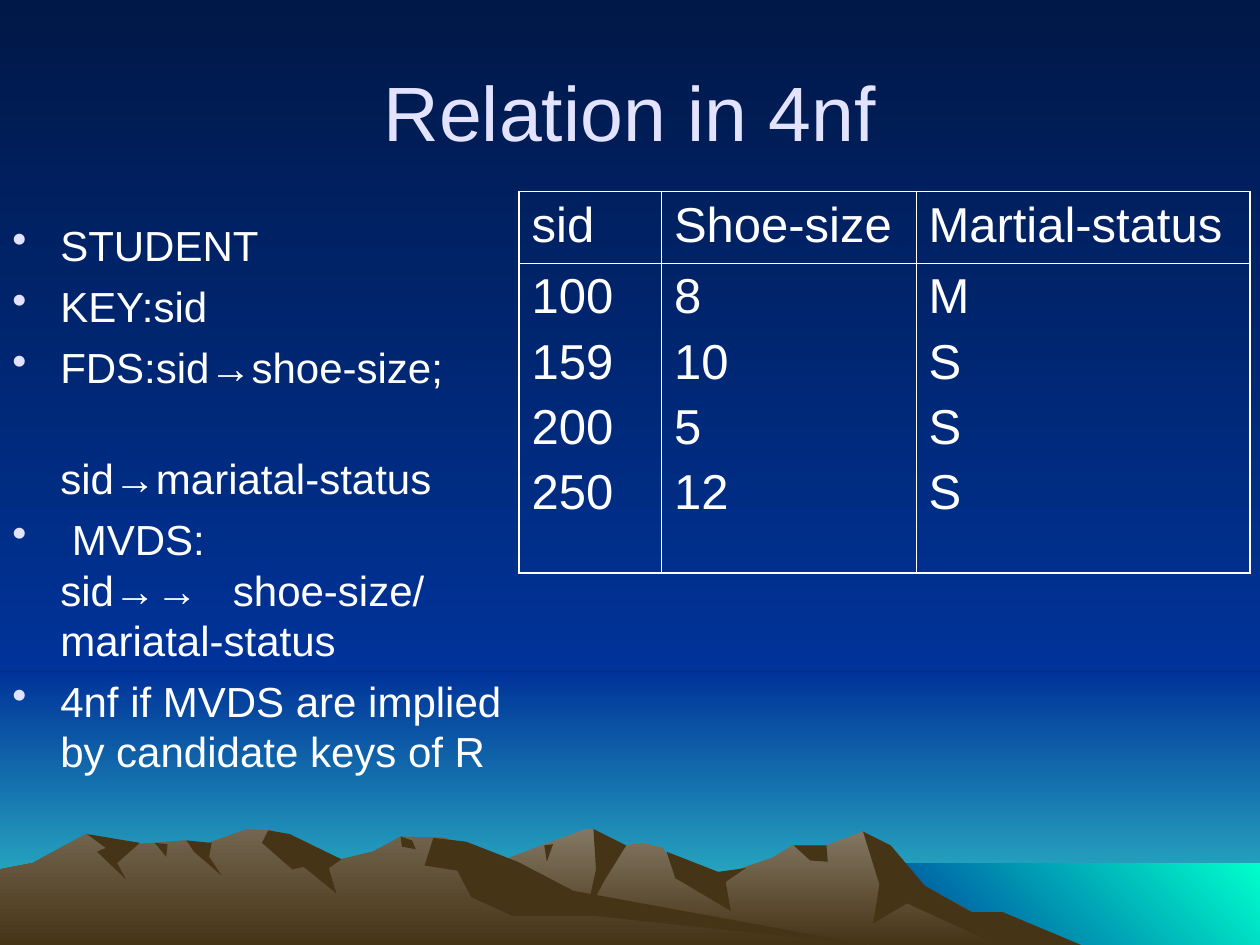
from lxml.etree import SubElement
from pptx import Presentation
from pptx.dml.color import RGBColor
from pptx.enum.shapes import MSO_SHAPE
from pptx.enum.text import MSO_ANCHOR, PP_ALIGN
from pptx.oxml import parse_xml
from pptx.oxml.ns import nsdecls, qn
from pptx.util import Inches, Pt

# Content
TITLE = "Relation in 4nf"
NOTES = [  # text, bulleted, space before in points
    ("STUDENT", True, 0),
    ("KEY:sid", True, 6),
    ("FDS:sid→shoe-size;", True, 6),
    ("sid→mariatal-status", False, 35),
    (" MVDS:\vsid→→\tshoe-size/ mariatal-status", True, 6),
    ("4nf if MVDS are implied by candidate keys of R", True, 6),
]
STUDENTS = {
    "sid": ["100", "159", "200", "250"],
    "Shoe-size": ["8", "10", "5", "12"],
    "Martial-status": ["M", "S", "S", "S"],
}
COLUMN_WIDTHS, ROW_HEIGHTS = (1.13, 2.02, 2.65), (0.57, 2.46)

COLORS = {
    "night": "001847", "blue": "003399", "haze": "33CCCC", "sea": "00FFCC",
    "rock": "847864", "slope": "73654F", "shade": "463416",
    "lilac": "E3E3FF", "white": "FFFFFF",
}
FONT = "Arial"
WIDTH, HEIGHT, HORIZON = 10, 7.5, 5.33

# Scenery bands: left, top, width, height, first colour, last colour, angle
BANDS = [
    (0, HORIZON, WIDTH, HEIGHT - HORIZON, "blue", "haze", 270),
    (0, 0, WIDTH, HORIZON, "night", "blue", 270),
    (6.83, 6.85, 3.17, 0.67, "blue", "sea", 45),
]

# Mountains, back to front: top colour (None for plain shade) and outline
MOUNTAINS = [
    ("rock", [
        (2.58, HEIGHT), (3.27, 7.09), (3.94, 6.85), (4.3, 6.71), (4.65, 6.58),
        (4.71, 6.58), (4.86, 6.73), (5.09, 6.69), (5.26, 6.73), (5.36, 6.9),
        (5.66, 6.97), (6.13, 6.81), (6.29, 6.71), (6.56, 6.71), (6.85, 6.6),
        (7.23, 6.98), (8.2, HEIGHT)]),
    (None, [
        (6.85, 6.6), (7.07, 6.71), (7.34, 7.03), (7.71, 7.24), (7.96, 7.24),
        (8.58, HEIGHT), (7.92, HEIGHT), (7.2, 7.17), (6.93, 7.33), (6.98, 7.02)]),
    (None, [
        (4.71, 6.58), (4.97, 6.71), (4.79, 7), (4.65, 7.27), (4.73, 6.9)]),
    (None, [
        (5.29, 6.76), (5.7, 6.92), (5.92, 6.89), (5.76, 7), (5.8, 7.23), (5.36, 6.97)]),
    (None, [(6.3, 6.71), (6.56, 6.71), (6.57, 6.84), (6.43, 6.83)]),
    (None, [(4.32, 6.71), (4.39, 6.7), (4.34, 6.84)]),
    ("slope", [
        (0, HEIGHT), (0, 6.9), (0.26, 6.85), (0.68, 6.62), (0.94, 6.71),
        (1.23, 6.69), (1.48, 6.67), (1.6, 6.71), (1.96, 6.58), (2.15, 6.59),
        (2.71, 6.82), (2.96, 6.76), (3.18, 6.64), (3.54, 6.65), (4.32, 7.12),
        (6.9, HEIGHT)]),
    (None, [
        (2.13, 6.59), (2.3, 6.62), (2.71, 6.82), (2.61, 6.89), (2.67, 7.09),
        (2.41, 6.88), (2.32, 6.9), (2.08, 6.69)]),
    (None, [
        (3.44, 6.65), (3.7, 6.68), (4.11, 6.84), (4.55, 7.07), (6.9, HEIGHT),
        (4.72, 7.27), (4.07, 7.27), (3.74, 7.12), (3.63, 6.91), (3.37, 6.87)]),
    (None, [(3.18, 6.64), (3.27, 6.67), (3.3, 6.74), (3.19, 6.72)]),
    (None, [(1.48, 6.67), (1.68, 6.69), (1.66, 6.8), (1.76, 6.95), (1.54, 6.76)]),
    (None, [(1.23, 6.69), (1.33, 6.7), (1.32, 6.8)]),
    (None, [
        (0.69, 6.62), (1.11, 6.69), (0.93, 6.85), (1, 6.98), (0.77, 6.76), (0.84, 6.73)]),
]


def rgb(color):
    return RGBColor.from_string(COLORS[color])


def set_gradient(fill, first, last, angle=270):
    fill.gradient()
    fill.gradient_angle = angle
    for stop, color in zip(fill.gradient_stops, (first, last)):
        stop.color.rgb = rgb(color)


def set_font(paragraph, size, color):
    font = paragraph.font
    font.name, font.size, font.color.rgb = FONT, Pt(size), rgb(color)


def add_text_frame(*box):
    frame = slide.shapes.add_textbox(*map(Inches, box)).text_frame
    frame.word_wrap = True
    return frame


def set_borders(cell, widths):
    """Draw the left, right, top and bottom border of a cell."""
    properties = cell._tc.get_or_add_tcPr()
    for index, (side, width) in enumerate(zip("LRTB", widths)):
        properties.insert(index, parse_xml(
            f'<a:ln{side} {nsdecls("a")} w="{Pt(width)}"><a:solidFill>'
            f'<a:srgbClr val="{COLORS["white"]}"/></a:solidFill></a:ln{side}>'))


presentation = Presentation()
presentation.slide_width, presentation.slide_height = Inches(WIDTH), Inches(HEIGHT)
slide = presentation.slides.add_slide(presentation.slide_layouts[6])
set_gradient(slide.background.fill, "night", "blue")

# Sky, haze and sea
for *box, first, last, angle in BANDS:
    band = slide.shapes.add_shape(MSO_SHAPE.RECTANGLE, *map(Inches, box))
    band.shadow.inherit = False
    band.line.fill.background()
    set_gradient(band.fill, first, last, angle)

# Mountains
for top_color, outline in MOUNTAINS:
    points = [(Inches(x), Inches(y)) for x, y in outline]
    builder = slide.shapes.build_freeform(*points[0])
    builder.add_line_segments(points[1:])
    mountain = builder.convert_to_shape()
    mountain.shadow.inherit = False
    mountain.line.fill.background()
    if top_color:
        set_gradient(mountain.fill, top_color, "shade")
    else:
        mountain.fill.solid()
        mountain.fill.fore_color.rgb = rgb("shade")

# Title
heading = add_text_frame(0.5, 0.25, 9, 1.25)
heading.vertical_anchor = MSO_ANCHOR.MIDDLE
heading.text = TITLE
heading.paragraphs[0].alignment = PP_ALIGN.CENTER
set_font(heading.paragraphs[0], 44, "lilac")

# Notes
notes = add_text_frame(0, 1.65, 4.42, 4.92)
notes.margin_top = Inches(0.09)
for index, (text, bulleted, space) in enumerate(NOTES):
    note = notes.add_paragraph() if index else notes.paragraphs[0]
    note.text = text
    layout = note._p.get_or_add_pPr()
    layout.set("marL", str(Inches(0.38)))
    layout.set("indent", str(Inches(-0.38 if bulleted else 0)))
    if bulleted:
        bullet_color = SubElement(layout, qn("a:buClr"))
        SubElement(bullet_color, qn("a:srgbClr"), val=COLORS["lilac"])
        SubElement(layout, qn("a:buChar"), char="•")
    if "\t" in text:
        stops = SubElement(layout, qn("a:tabLst"))
        SubElement(stops, qn("a:tab"), pos=str(Inches(1.75)), algn="l")
    note.space_before = Pt(space)
    set_font(note, 24, "white")

# Student table
table = slide.shapes.add_table(
    len(ROW_HEIGHTS), len(STUDENTS), Inches(4.12), Inches(1.52),
    Inches(sum(COLUMN_WIDTHS)), Inches(sum(ROW_HEIGHTS))).table
table.first_row = table.horz_banding = False
for row, height in zip(table.rows, ROW_HEIGHTS):
    row.height = Inches(height)
for c, (name, values) in enumerate(STUDENTS.items()):
    table.columns[c].width = Inches(COLUMN_WIDTHS[c])
    for r, lines in enumerate(([name], values)):
        cell = table.cell(r, c)
        cell.text = "\n".join(lines)
        cell.fill.background()
        outer = (c == 0, c == len(STUDENTS) - 1, r == 0, r == 1)
        set_borders(cell, [1.08 if edge else 0.45 for edge in outer])
        for index, entry in enumerate(cell.text_frame.paragraphs):
            entry.space_before = Pt(6 if index else 0)
            set_font(entry, 28, "white")

presentation.save("out.pptx")
